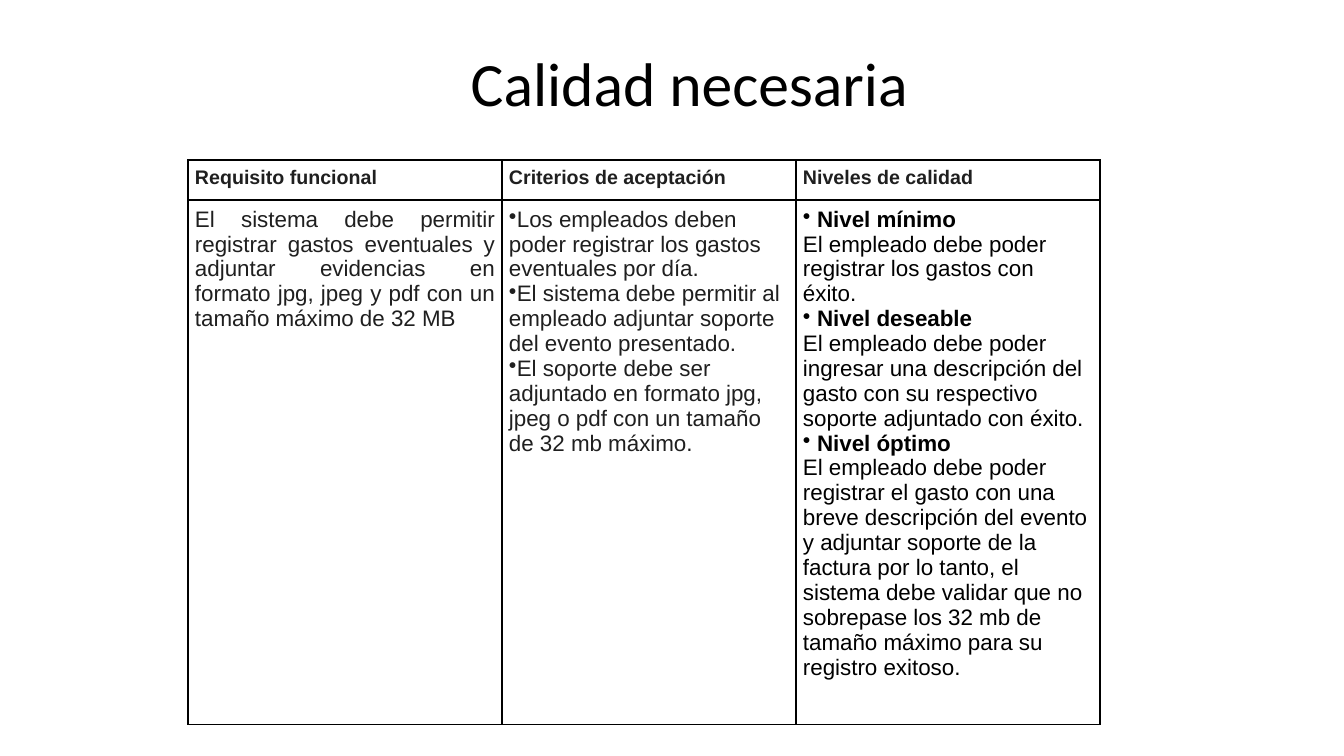
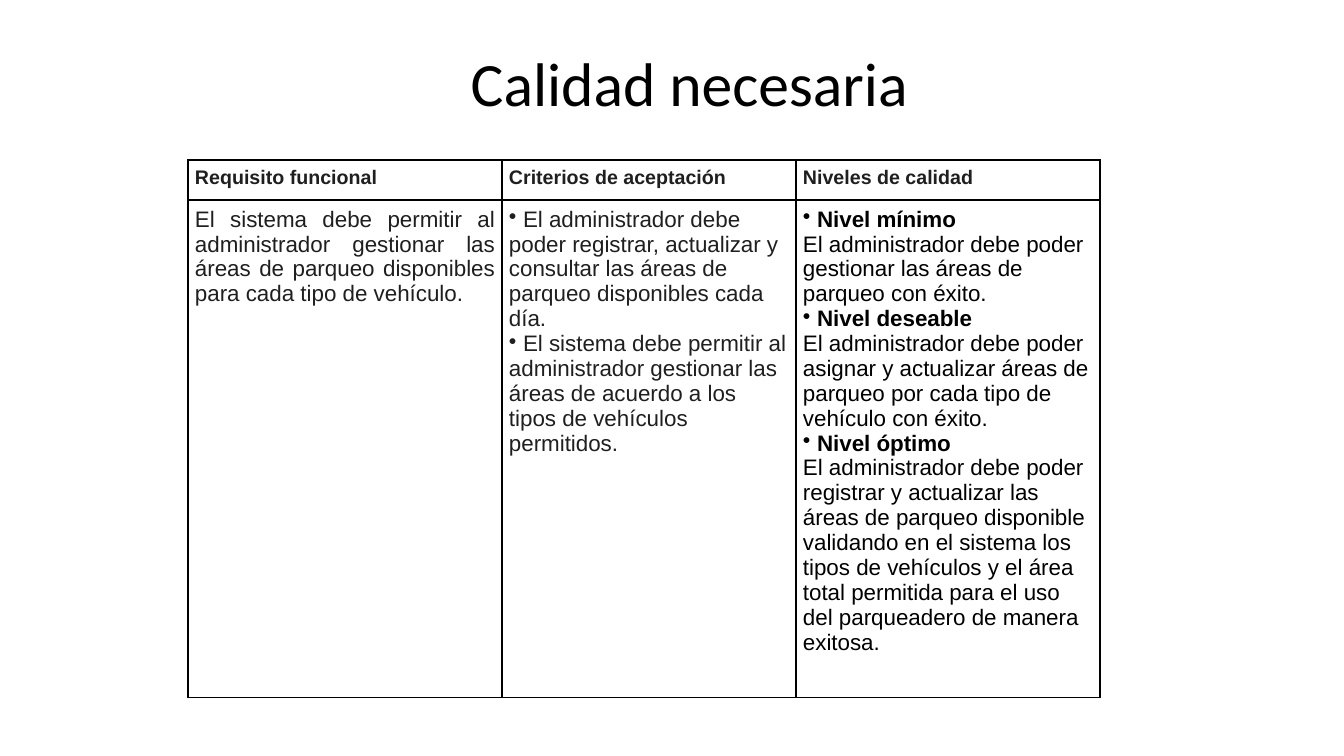
from dataclasses import dataclass

from pptx import Presentation
from pptx.dml.color import RGBColor
from pptx.enum.text import MSO_ANCHOR as Anchor, PP_ALIGN as Align
from pptx.oxml import parse_xml
from pptx.oxml.ns import nsdecls
from pptx.util import Emu, Pt

# Content
TITLE = "Calidad necesaria"
HEADERS = ("Requisito funcional", "Criterios de aceptación", "Niveles de calidad")
LEVELS = (" Nivel mínimo", " Nivel deseable", " Nivel óptimo")
REQUIREMENTS = [
    {
        "requirement": "El sistema debe permitir registrar gastos eventuales y adjuntar "
                       "evidencias en formato jpg, jpeg y pdf con un tamaño máximo de 32 MB",
        "criteria": [
            "Los empleados deben poder registrar los gastos eventuales por día.",
            "El sistema debe permitir al empleado adjuntar soporte del evento presentado.",
            "El soporte debe ser adjuntado en formato jpg, jpeg o pdf con un tamaño "
            "de 32 mb máximo.",
        ],
        "levels": [
            "El empleado debe poder registrar los gastos con éxito.",
            "El empleado debe poder ingresar una descripción del gasto con su respectivo "
            "soporte adjuntado con éxito.",
            "El empleado debe poder registrar el gasto con una breve descripción del evento "
            "y adjuntar soporte de la factura por lo tanto, el sistema debe validar que no "
            "sobrepase los 32 mb de tamaño máximo para su registro exitoso.",
        ],
    },
    {
        "requirement": "El sistema debe permitir al administrador gestionar las áreas de "
                       "parqueo disponibles para cada tipo de vehículo.",
        "criteria": [
            " El administrador debe poder registrar, actualizar y consultar las áreas de "
            "parqueo disponibles cada día.",
            " El sistema debe permitir al administrador gestionar las áreas de acuerdo a "
            "los tipos de vehículos permitidos.",
        ],
        "levels": [
            "El administrador debe poder gestionar las áreas de parqueo con éxito.",
            "El administrador debe poder asignar y actualizar áreas de parqueo por cada "
            "tipo de vehículo con éxito.",
            "El administrador debe poder registrar y actualizar las áreas de parqueo "
            "disponible validando en el sistema los tipos de vehículos y el área total "
            "permitida para el uso del parqueadero de manera exitosa.",
        ],
    },
]


@dataclass(frozen=True)
class Theme:
    black: RGBColor = RGBColor(0x00, 0x00, 0x00)
    dark: RGBColor = RGBColor(0x1F, 0x1F, 0x1F)
    title_font: str = "Calibri"
    table_font: str = "Arial"
    title_size: int = 44
    header_size: int = 14
    body_size: int = 16
    border_width: int = 1


THEME = Theme()

# Layout in px
SLIDE_SIZE = (1344, 756)
TITLE_BOX = (110, 14, 1159, 146)
TABLE_ORIGIN = (188, 160)
COLUMNS = (314, 294, 304)
ROWS = (40, 487)
CELL_INSET = 7


def px(length):
    return Emu(round(length * 12192000 / SLIDE_SIZE[0]))


def set_font(paragraph, name, size, color, bold=False):
    font = paragraph.font
    font.name, font.size, font.bold = name, Pt(size), bold
    font.color.rgb = color


def add_title(slide):
    frame = slide.shapes.add_textbox(*map(px, TITLE_BOX)).text_frame
    frame.word_wrap = True
    frame.vertical_anchor = Anchor.MIDDLE
    paragraph = frame.paragraphs[0]
    paragraph.text = TITLE
    paragraph.alignment = Align.CENTER
    paragraph.line_spacing = 0.9
    set_font(paragraph, THEME.title_font, THEME.title_size, THEME.black)


def style_cell(cell):
    cell.margin_left = cell.margin_right = px(CELL_INSET)
    cell.margin_top = cell.margin_bottom = px(CELL_INSET)
    properties = cell._tc.get_or_add_tcPr()
    for side in "LRTB":
        properties.append(parse_xml(
            f'<a:ln{side} {nsdecls("a")} w="{Pt(THEME.border_width)}"><a:solidFill>'
            f'<a:srgbClr val="{THEME.black}"/></a:solidFill></a:ln{side}>'))
    cell.fill.background()


def fill_cell(cell, lines, size, color, align=Align.LEFT):
    """Write lines given as (text, bulleted, bold)."""
    style_cell(cell)
    frame = cell.text_frame
    for index, (text, bulleted, bold) in enumerate(lines):
        paragraph = frame.add_paragraph() if index else frame.paragraphs[0]
        paragraph.text = text
        paragraph.alignment = align
        if bulleted:
            properties = paragraph._p.get_or_add_pPr()
            properties.set("marL", "0")
            properties.set("indent", "0")
            properties.append(parse_xml(f'<a:buChar {nsdecls("a")} char="•"/>'))
        set_font(paragraph, THEME.table_font, size, color, bold)


def add_quality_table(slide, item):
    table = slide.shapes.add_table(
        len(ROWS), len(COLUMNS), *map(px, (*TABLE_ORIGIN, sum(COLUMNS), sum(ROWS)))).table
    table.first_row = table.horz_banding = False
    for column, width in zip(table.columns, COLUMNS):
        column.width = px(width)
    for row, height in zip(table.rows, ROWS):
        row.height = px(height)

    # Header row
    for index, header in enumerate(HEADERS):
        fill_cell(table.cell(0, index), [(header, False, True)], THEME.header_size, THEME.dark)

    # Body row
    criteria = [(text, True, False) for text in item["criteria"]]
    levels = [line for level, text in zip(LEVELS, item["levels"])
              for line in ((level, True, True), (text, False, False))]
    body = (
        ([(item["requirement"], False, False)], THEME.dark, Align.JUSTIFY),
        (criteria, THEME.dark, Align.LEFT),
        (levels, THEME.black, Align.LEFT),
    )
    for index, (lines, color, align) in enumerate(body):
        fill_cell(table.cell(1, index), lines, THEME.body_size, color, align)


def main():
    presentation = Presentation()
    presentation.slide_width, presentation.slide_height = map(px, SLIDE_SIZE)
    for item in REQUIREMENTS:
        slide = presentation.slides.add_slide(presentation.slide_layouts[6])
        add_title(slide)
        add_quality_table(slide, item)
    presentation.save("out.pptx")


if __name__ == "__main__":
    main()
